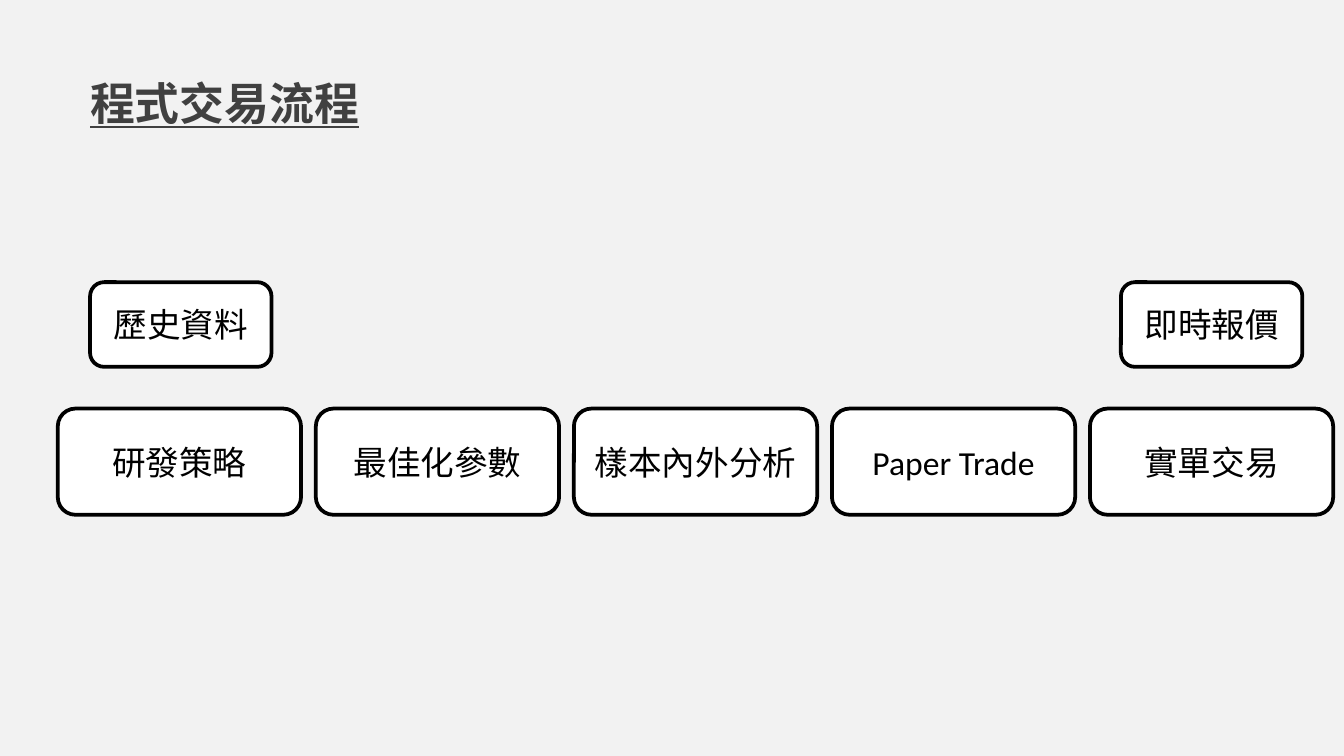
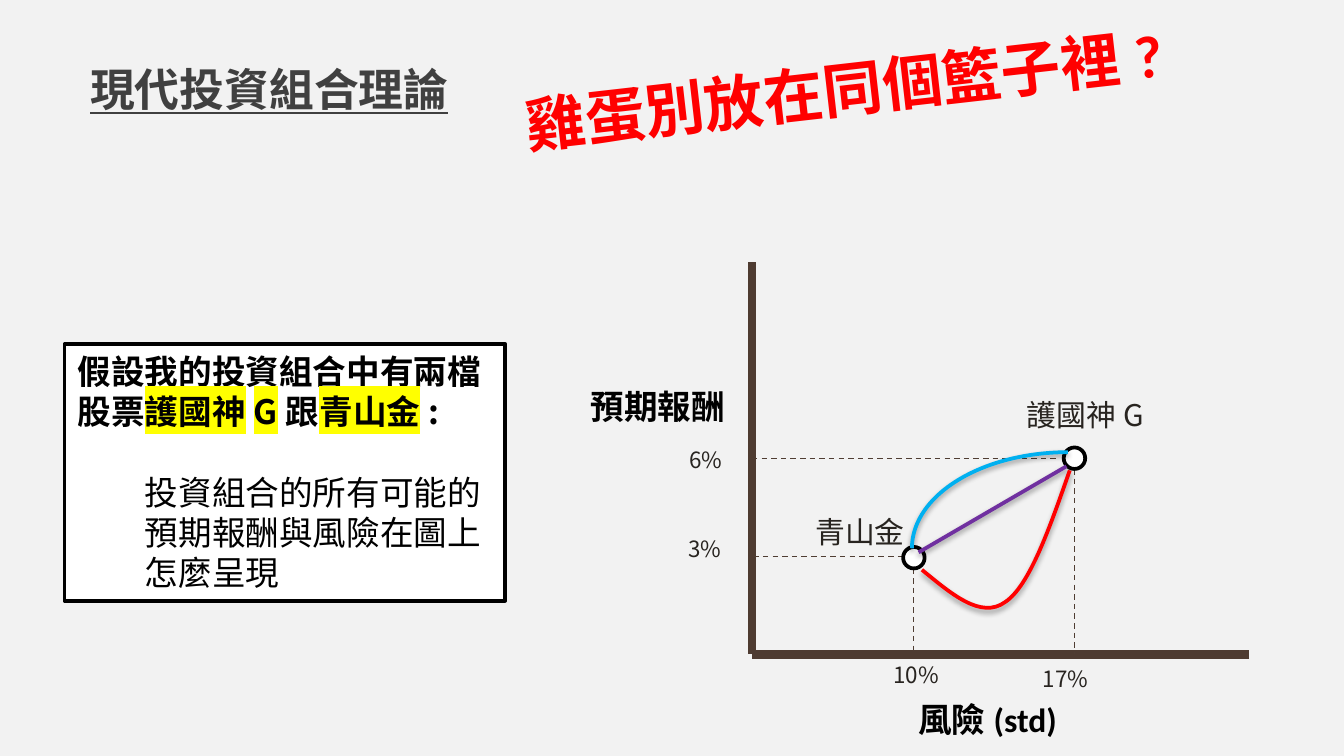
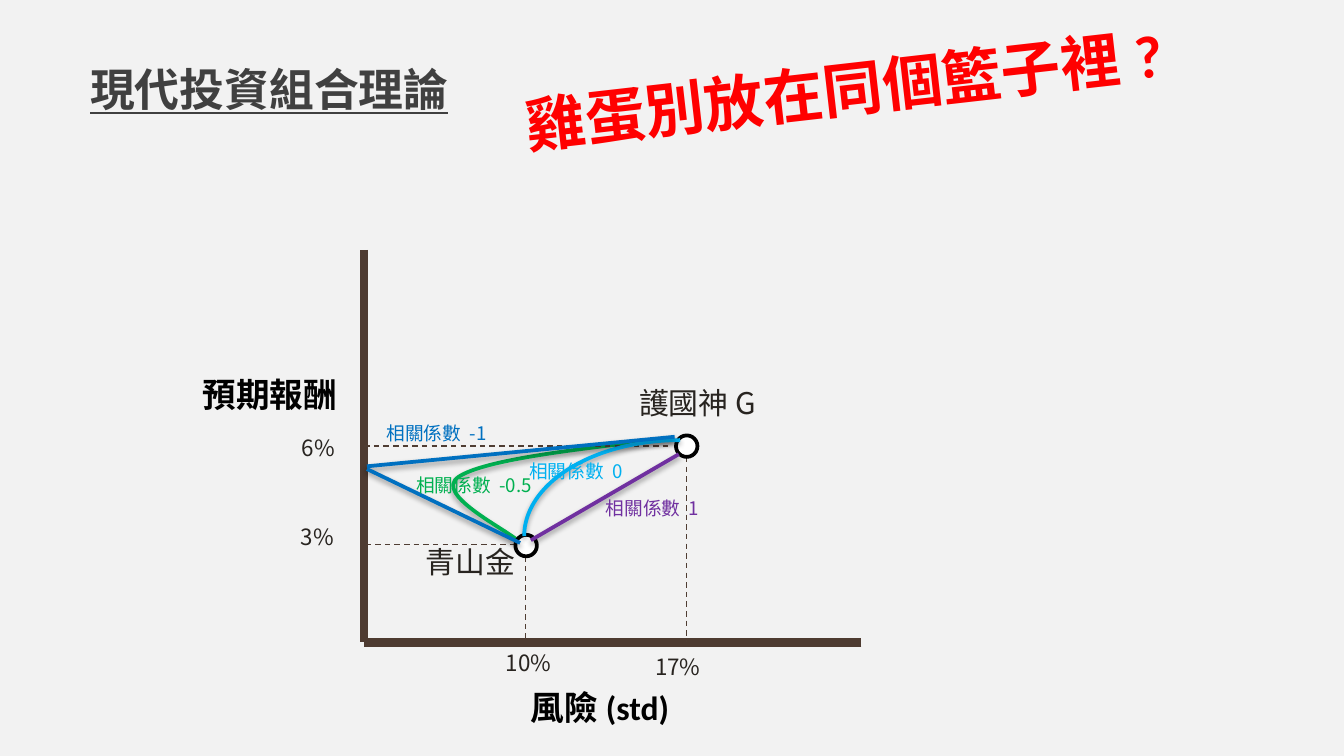
import pptx
import pptx.dml.color
import pptx.enum.dml
import pptx.enum.shapes
import pptx.enum.text
import pptx.oxml.ns
import pptx.util
from lxml import etree

COLORS = {
    "paper": "F2F2F2", "white": "FFFFFF", "black": "000000", "title": "404040",
    "axis": "4E3B31", "guide": "4F3D33", "label": "282420", "red": "FF0000",
    "yellow": "FFFF00", "purple": "7030A0", "sky": "00B0F0", "blue": "0070C0",
    "green": "00B050",
}
CJK_FONT = "Noto Sans CJK SC"
LATIN_FONT = "Calibri"
CELL = 0.1  # inches: the slide is 100 columns by 56.25 rows

SHAPE = pptx.enum.shapes.MSO_SHAPE
ALIGN = pptx.enum.text.PP_ALIGN
ANCHOR = pptx.enum.text.MSO_ANCHOR
qn = pptx.oxml.ns.qn


def rgb(color):
    return pptx.dml.color.RGBColor.from_string(COLORS[color])


def cells(*counts):
    return [pptx.util.Inches(count * CELL) for count in counts]


class Deck:
    """Holds the style and the current slide; places elements in grid cells."""

    def __init__(self):
        self.prs = pptx.Presentation()
        self.prs.slide_width, self.prs.slide_height = cells(100, 56.25)
        backdrop = self.prs.slide_master.background.fill
        backdrop.solid()
        backdrop.fore_color.rgb = rgb("paper")
        self.slide = None

    def add_slide(self, heading, line_spacing=None):
        self.slide = self.prs.slides.add_slide(self.prs.slide_layouts[5])
        title = self.slide.shapes.title
        title.left, title.top, title.width, title.height = cells(6.7, 4.5, 50.4, 4.2)
        title.text_frame.text = heading
        self.style_text(title.text_frame, 24, "title", bold=True,
                        anchor=ANCHOR.MIDDLE, inset=(0, 0.5))
        title.text_frame.paragraphs[0].runs[0].font.underline = True
        if line_spacing:
            title.text_frame.paragraphs[0].line_spacing = line_spacing

    # Text formatting
    def style_run(self, run, size, color, font, bold):
        run.font.size = pptx.util.Pt(size)
        run.font.bold = bold
        run.font.color.rgb = rgb(color)
        run.font.name = font
        east_asian = etree.Element(qn("a:ea"), typeface=CJK_FONT)
        run._r.rPr.find(qn("a:latin")).addnext(east_asian)

    def style_text(self, frame, size, color, font=CJK_FONT, bold=False,
                   align=ALIGN.LEFT, anchor=ANCHOR.TOP, inset=(1, 0.5)):
        frame.word_wrap = True
        frame.auto_size = pptx.enum.text.MSO_AUTO_SIZE.NONE
        frame.vertical_anchor = anchor
        frame.margin_left, frame.margin_top = cells(*inset)
        frame.margin_right, frame.margin_bottom = cells(*inset)
        for paragraph in frame.paragraphs:
            paragraph.alignment = align
            paragraph.line_spacing = pptx.util.Pt(1.2 * size)
            for run in paragraph.runs:
                self.style_run(run, size, color, font, bold)

    def highlight(self, run):
        mark = etree.Element(qn("a:highlight"))
        etree.SubElement(mark, qn("a:srgbClr"), val=COLORS["yellow"])
        run._r.rPr.find(qn("a:solidFill")).addnext(mark)

    def label(self, text, at, size, color="label", **style):
        box = self.slide.shapes.add_textbox(*cells(*at))
        box.text_frame.text = text
        self.style_text(box.text_frame, size, color, **style)
        return box

    # Lines and shapes
    def outline(self, shape, color, width, shadow=False):
        shape.line.color.rgb = rgb(color)
        shape.line.width = pptx.util.Pt(width)
        effects = etree.SubElement(shape.element.spPr, qn("a:effectLst"))
        if shadow:
            cast = etree.SubElement(
                effects, qn("a:outerShdw"), blurRad=str(pptx.util.Pt(3.1)),
                dist=str(pptx.util.Pt(1.6)), dir="5400000", rotWithShape="0")
            tint = etree.SubElement(cast, qn("a:srgbClr"), val=COLORS["black"])
            etree.SubElement(tint, qn("a:alpha"), val="38000")

    def line(self, start, end, color, width=2, dashed=False, shadow=False):
        stroke = self.slide.shapes.add_connector(
            pptx.enum.shapes.MSO_CONNECTOR.STRAIGHT, *cells(*start, *end))
        self.outline(stroke, color, width, shadow)
        if dashed:
            stroke.line.dash_style = pptx.enum.dml.MSO_LINE.DASH

    def panel(self, kind, at):
        panel = self.slide.shapes.add_shape(kind, *cells(*at))
        panel.fill.solid()
        panel.fill.fore_color.rgb = rgb("white")
        self.outline(panel, "black", 2)
        return panel

    def step(self, text, at):
        step = self.panel(SHAPE.ROUNDED_RECTANGLE, at)
        step.text_frame.text = text
        self.style_text(step.text_frame, 18, "black", LATIN_FONT,
                        align=ALIGN.CENTER, anchor=ANCHOR.MIDDLE)

    def arc(self, at, color):
        arc = self.slide.shapes.add_shape(SHAPE.ARC, *cells(*at))
        arc.fill.background()
        arc.element.spPr.find(qn("a:xfrm")).set("flipH", "1")
        self.outline(arc, color, 2, shadow=True)

    def curve(self, start, controls, color):
        """Draws cubic Bezier pieces, three control points each."""
        builder = self.slide.shapes.build_freeform(*cells(*start), scale=1.0)
        builder.add_line_segments([cells(*point) for point in controls], close=False)
        curve = builder.convert_to_shape()
        segments = list(curve.element.iter(qn("a:lnTo")))
        track = segments[0].getparent()
        for first in range(0, len(segments), 3):
            bezier = etree.SubElement(track, qn("a:cubicBezTo"))
            for segment in segments[first:first + 3]:
                bezier.append(segment[0])
                track.remove(segment)
        curve.fill.background()
        self.outline(curve, color, 2, shadow=True)

    # Parts shared by the portfolio slides
    def headline(self):
        slogan = self.label("雞蛋別放在同個籃子裡?", (38, 3.4, 50, 6.4), 32, "red",
                            font=LATIN_FONT, bold=True)
        slogan.text_frame.margin_right = 0
        slogan.rotation = 353.5

    def risk_return(self, x, y, bank_label):
        """Risk and return axes crossing at column x, row y."""
        for end in ((x, y - 29.2), (x + 37, y)):
            self.line(end, (x, y), "axis", 4.5)
        for text, dx, dy, width in (("預期報酬", -13, -20.5, 12.2),
                                    ("風險(std)", 11.4, 2.8, 12.6)):
            self.label(text, (x + dx, y + dy, width, 4), 18, "black",
                       font=LATIN_FONT, bold=True)
        # Guides from each stock to the axes
        for start, end in (((0, -14.6), (22.9, -14.6)), ((24, -13.8), (24, 0)),
                           ((0.1, -7.3), (11.3, -7.3)), ((12, -6.4), (12, 0))):
            self.line((x + start[0], y + start[1]), (x + end[0], y + end[1]),
                      "guide", 0.75, dashed=True)
        for text, dx, dy, width, height, inset in (
                ("6%", -4.65, -15.5, 4.7, 2, (0, 0)),
                ("17%", 21.65, 0.8, 6.3, 2, (0, 0)),
                ("3%", -5.7, -9.4, 5, 3, (1, 0.5)),
                ("10%", 9.55, 0, 6.3, 3, (1, 0.5))):
            self.label(text, (x + dx, y + dy, width, height), 12, inset=inset)
        # Stocks
        self.label("護國神G", (x + 16.55, y - 19.2, 16.5, 2.7), 16,
                   align=ALIGN.CENTER, inset=(0, 0))
        self.label("青山金", (*bank_label, 50, 3.7), 16, align=ALIGN.CENTER)
        for dx, dy in ((23.2, -15.4), (11.25, -8)):
            self.panel(SHAPE.OVAL, (x + dx, y + dy, 1.6, 1.6))

    def uncorrelated_mixes(self, x, y):
        self.line((x + 12.4, y - 7.6), (x + 23.4, y - 14), "purple", shadow=True)
        self.arc((x + 11.9, y - 15.05, 23.2, 14.3), "sky")


def trading_flow(deck):
    deck.add_slide("程式交易流程", line_spacing=1.5)
    stages = ("研發策略", "最佳化參數", "樣本內外分析", "Paper Trade", "實單交易")
    for position, stage in enumerate(stages):
        deck.step(stage, (4.3 + 19.2 * position, 30.4, 18.1, 7.9))
    for data, column in (("歷史資料", 6.7), ("即時報價", 83.4)):
        deck.step(data, (column, 21, 13.5, 6.3))


def two_stocks(deck):
    deck.add_slide("現代投資組合理論")
    deck.risk_return(55.95, 48.7, bank_label=(39, 37.7))
    deck.headline()

    # Assumption
    assumption = deck.panel(SHAPE.RECTANGLE, (4.8, 25.6, 32.8, 19.1))
    premise = assumption.text_frame.paragraphs[0]
    for phrase in ("假設我的投資組合中有兩檔股票", "護國神G", "跟", "青山金", ":"):
        premise.add_run().text = phrase
    question = assumption.text_frame.add_paragraph()
    question.text = "投資組合的所有可能的預期報酬與風險在圖上怎麼呈現"
    question.level = 1
    deck.style_text(assumption.text_frame, 18, "black")
    question.space_before = pptx.util.Pt(21.6)
    for run in premise.runs:
        run.font.bold = True
    for stock in premise.runs[1::2]:
        deck.highlight(stock)

    # Possible portfolios
    deck.uncorrelated_mixes(55.95, 48.7)
    deck.curve((68.6, 42.4), [(70.8, 44.2), (73, 46.1), (74.8, 44.8),
                              (76.6, 43.6), (78.1, 39.3), (79.6, 35)], "red")


def correlations(deck):
    deck.add_slide("現代投資組合理論")
    deck.curve((50.1, 32.6), [(43, 33.4), (36, 34.2), (34.1, 35.5),
                              (32.2, 36.8), (37.9, 39.5), (38.6, 40.3),
                              (39.3, 41.1), (38.8, 40.7), (38.4, 40.2)], "green")
    deck.risk_return(27.1, 47.8, bank_label=(10, 40))
    deck.headline()
    deck.uncorrelated_mixes(27.1, 47.8)
    for start, end in (((50.2, 32.5), (27.3, 34.7)), ((38.7, 40.4), (27.3, 34.9))):
        deck.line(start, end, "blue", shadow=True)
    for value, column, row, color in (("-1", 27.8, 30.9, "blue"),
                                      ("-0.5", 30, 34.8, "green"),
                                      ("0", 38.4, 33.7, "sky"),
                                      ("1", 44.1, 36.5, "purple")):
        deck.label(f"相關係數 {value}", (column, row, 50, 2.7), 10, color)


def main():
    deck = Deck()
    trading_flow(deck)
    two_stocks(deck)
    correlations(deck)
    deck.prs.save("out.pptx")


if __name__ == "__main__":
    main()
